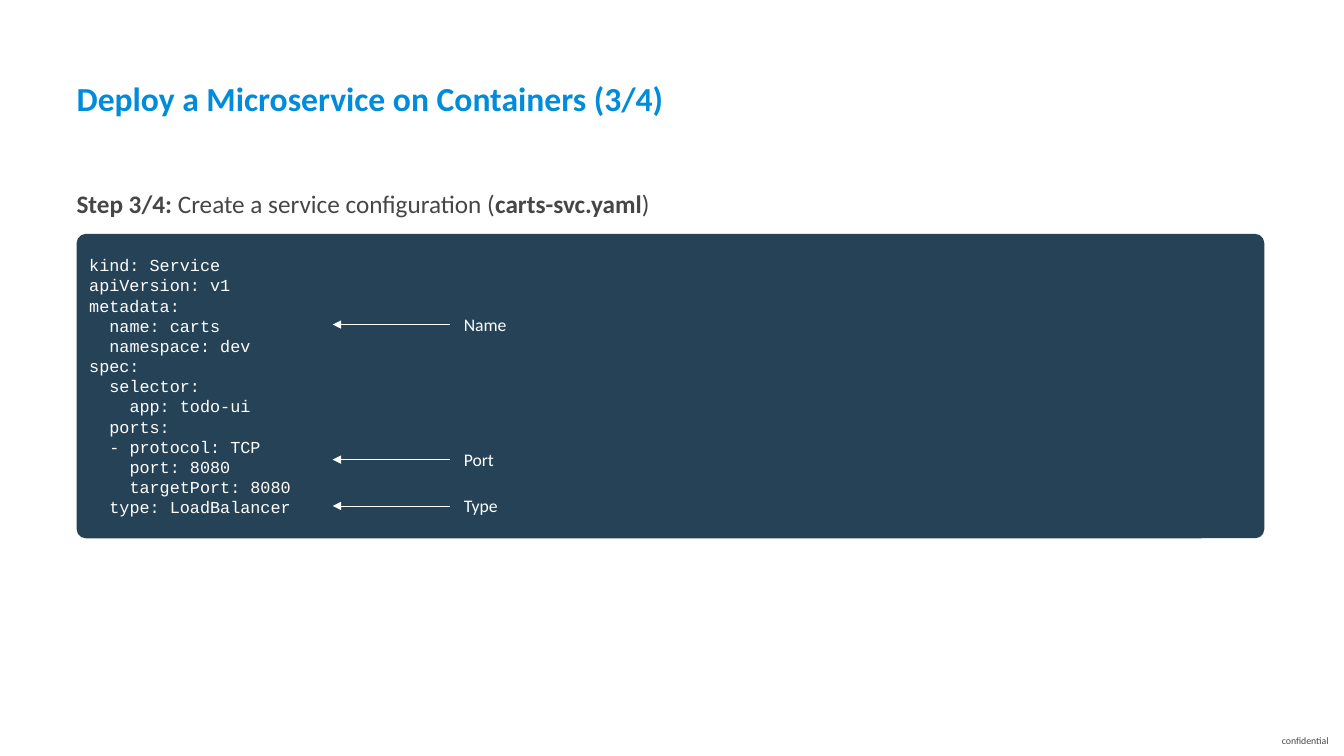
from dataclasses import dataclass

from lxml import etree
from pptx import Presentation
from pptx import util as u
from pptx.dml.color import RGBColor
from pptx.enum import shapes, text
from pptx.oxml import ns

PX = 9144  # EMU per px, 100 px to the inch


@dataclass(frozen=True)
class Theme:
    blue: str = "008CDB"
    grey: str = "454646"
    navy: str = "254256"
    white: str = "FFFFFF"
    sans: str = "Calibri"
    mono: str = "Courier New"
    title: float = 24
    step: float = 18
    label: float = 12.6
    code: float = 12
    footer: float = 7


theme = Theme()


def style(run, size, color, font=theme.sans, bold=False):
    run.font.size = u.Pt(size)
    run.font.name = font
    run.font.bold = bold
    run.font.color.rgb = RGBColor.from_string(color)


def add_text(box, runs, size, color, anchor=text.MSO_ANCHOR.TOP, wrap=True):
    """Add a text box without insets; runs are (wording, bold) pairs."""
    frame = slide.shapes.add_textbox(*(n * PX for n in box)).text_frame
    frame.margin_left = frame.margin_top = frame.margin_right = frame.margin_bottom = 0
    frame.word_wrap = wrap
    frame.vertical_anchor = anchor
    paragraph = frame.paragraphs[0]
    for wording, bold in runs:
        run = paragraph.add_run()
        run.text = wording
        style(run, size, color, bold=bold)
    return paragraph


presentation = Presentation()
presentation.slide_width = 1333 * PX
presentation.slide_height = 750 * PX
slide = presentation.slides.add_slide(presentation.slide_layouts[6])

LEFT, WIDTH = 76, 1178

# Footer
footer = add_text((1229, 730, 131, 10), [("confidential", False)], theme.footer,
                  theme.grey, text.MSO_ANCHOR.MIDDLE, wrap=False)
footer.alignment = text.PP_ALIGN.CENTER

# Title
title = add_text((LEFT, 57, WIDTH, 73), [("Deploy a Microservice on Containers (3/4)", True)],
                 theme.title, theme.blue, text.MSO_ANCHOR.MIDDLE)
title.line_spacing = 1.2

# Step description
step = add_text((LEFT, 181, 1203, 500), [
    ("Step 3/4: ", True),
    ("Create a service configuration (", False),
    ("carts-svc.yaml", True),
    (")", False),
], theme.step, theme.grey)
step.line_spacing = 1.2
step.space_before = u.Pt(10)

# Code panel: each line has an indent level, one level being two characters wide
INDENT = 20
code_lines = [
    (0, "kind: Service"),
    (0, "apiVersion: v1"),
    (0, "metadata:"),
    (1, "name: carts"),
    (1, "namespace: dev"),
    (0, "spec:"),
    (1, "selector:"),
    (2, "app: todo-ui"),
    (1, "ports:"),
    (1, "- protocol: TCP"),
    (2, "port: 8080"),
    (2, "targetPort: 8080"),
    (1, "type: LoadBalancer"),
]
panel = slide.shapes.add_shape(shapes.MSO_SHAPE.ROUNDED_RECTANGLE,
                               LEFT * PX, 232 * PX, WIDTH * PX, 302 * PX)
panel.adjustments[0] = 0.03
panel.shadow.inherit = False
panel.fill.solid()
panel.fill.fore_color.rgb = RGBColor.from_string(theme.navy)
panel.line.fill.background()
panel.text_frame.word_wrap = True
panel.text_frame.vertical_anchor = text.MSO_ANCHOR.MIDDLE
panel.text_frame.text = "\n".join(line for _, line in code_lines)
for paragraph, (level, _) in zip(panel.text_frame.paragraphs, code_lines):
    paragraph.alignment = text.PP_ALIGN.LEFT
    paragraph._p.get_or_add_pPr().set("marL", str(level * INDENT * PX))
    style(paragraph.runs[0], theme.code, theme.white, theme.mono)

# Callouts: an arrow to the code line and its label
for name, y in [("Name", 322), ("Port", 456), ("Type", 502)]:
    arrow = slide.shapes.add_connector(shapes.MSO_CONNECTOR.STRAIGHT,
                                       446 * PX, y * PX, 330 * PX, y * PX)
    arrow.line.width = u.Pt(0.5)
    arrow.line.color.rgb = RGBColor.from_string(theme.white)
    etree.SubElement(arrow.line._get_or_add_ln(), ns.qn("a:tailEnd"), type="triangle")
    etree.SubElement(arrow._element.spPr, ns.qn("a:effectLst"))
    add_text((460, y - 11, 143, 22), [(name, False)], theme.label, theme.white)

presentation.save("out.pptx")
